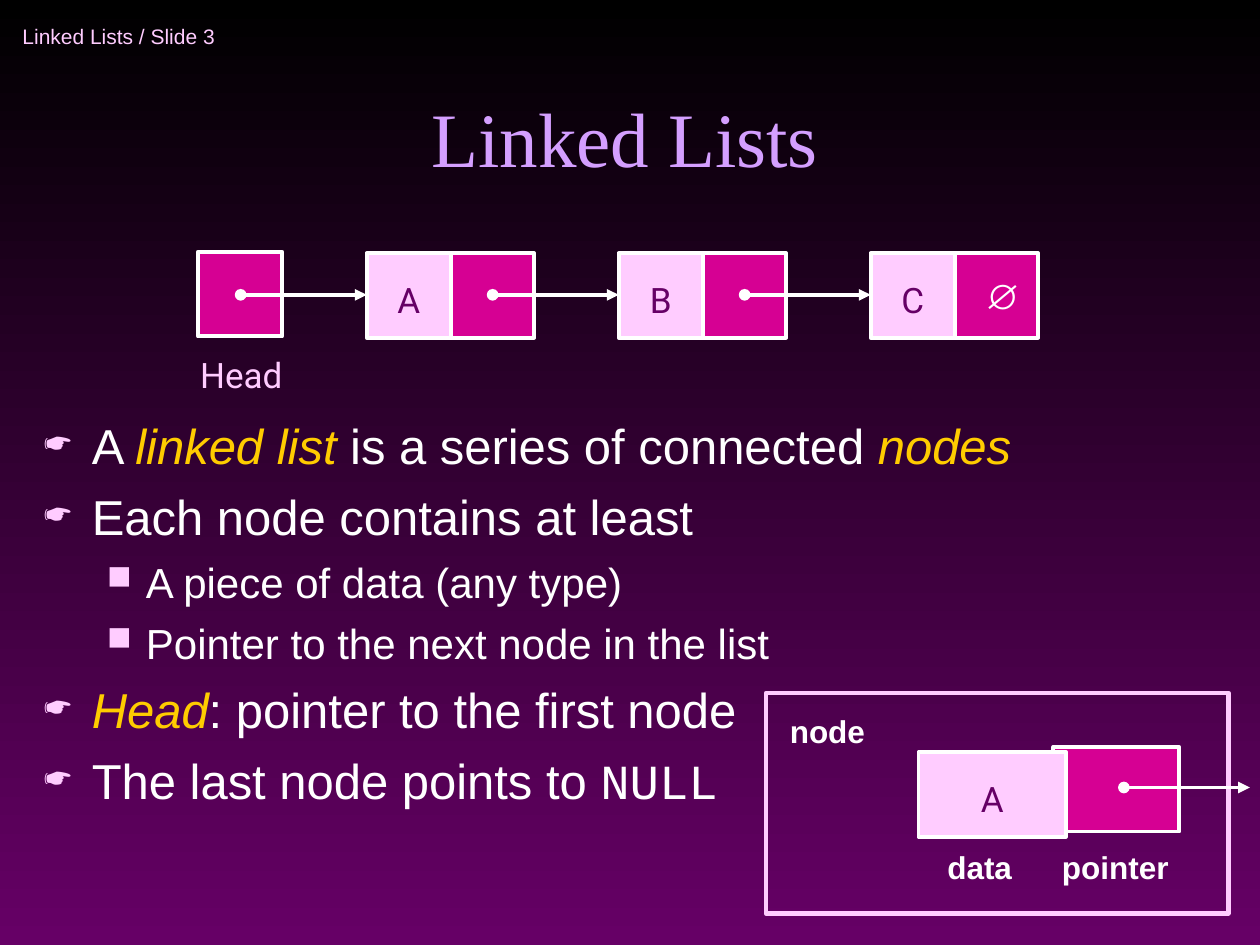
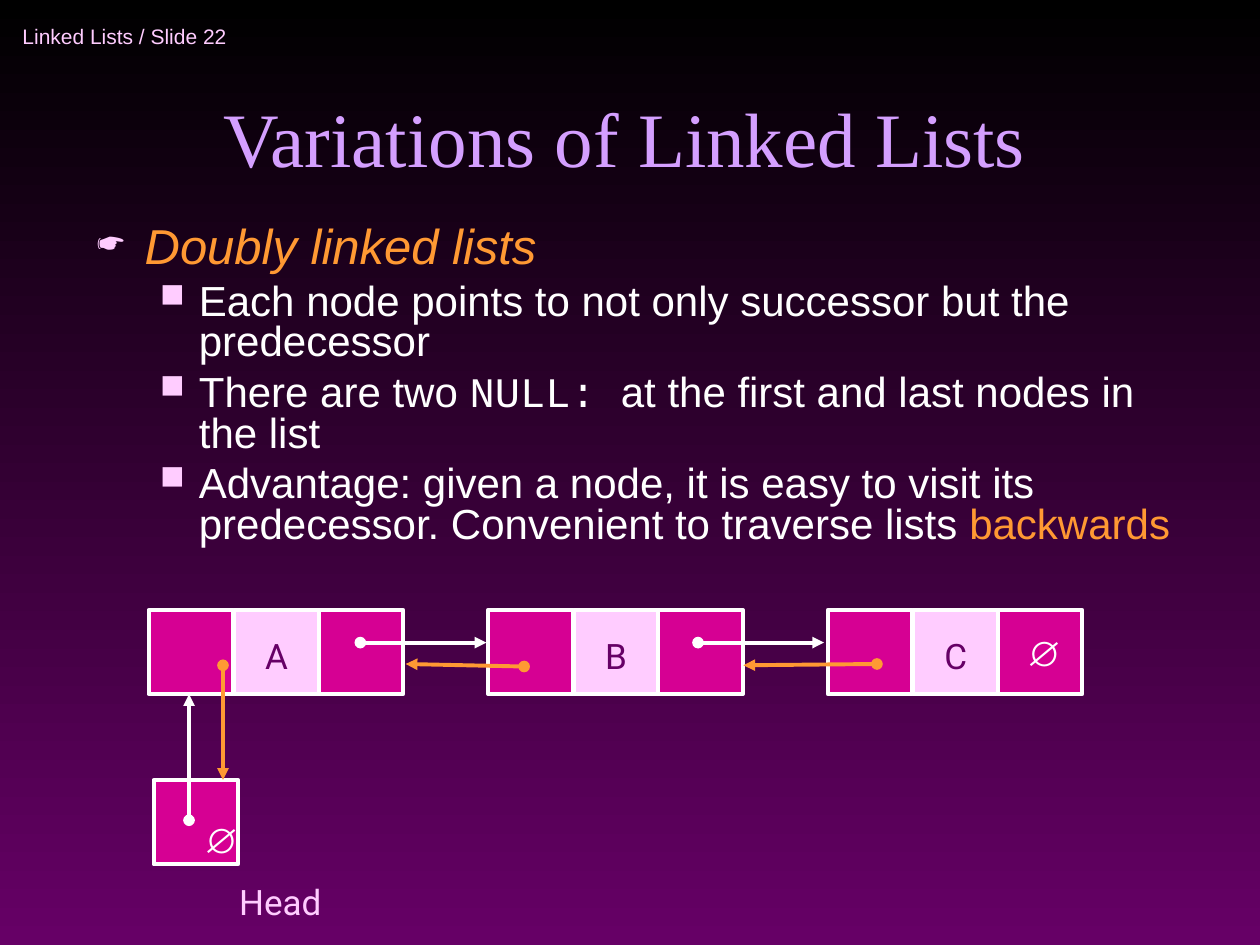
from lxml import etree
from pptx import Presentation
from pptx.dml.color import RGBColor
from pptx.enum.shapes import MSO_CONNECTOR, MSO_SHAPE
from pptx.enum.text import MSO_ANCHOR, PP_ALIGN
from pptx.oxml.ns import qn
from pptx.util import Inches, Pt

BLACK = RGBColor(0x00, 0x00, 0x00)
WHITE = RGBColor(0xFF, 0xFF, 0xFF)
PLUM = RGBColor(0x66, 0x00, 0x66)
PINK = RGBColor(0xFF, 0xCC, 0xFF)
ROSE = RGBColor(0xD6, 0x00, 0x93)
LILAC = RGBColor(0xD4, 0x9F, 0xFF)
GOLD = RGBColor(0xFF, 0xCC, 0x00)
AMBER = RGBColor(0xFF, 0x99, 0x33)

RECT = MSO_SHAPE.RECTANGLE
LINE = MSO_CONNECTOR.STRAIGHT
TOP, MIDDLE, BOTTOM = MSO_ANCHOR.TOP, MSO_ANCHOR.MIDDLE, MSO_ANCHOR.BOTTOM
LEFT, CENTER = PP_ALIGN.LEFT, PP_ALIGN.CENTER

HEADER = {"name": "Arial", "size": Pt(12), "color": PINK}
TITLE = {"name": "Times New Roman", "size": Pt(44), "color": LILAC}
LETTER = {"name": "Roboto", "size": Pt(20), "color": PLUM}
HEAD = {**LETTER, "color": PINK}
NULL = {"name": "Arial", "size": Pt(20), "bold": True, "color": WHITE}
LABEL = {**NULL, "size": Pt(18)}
TERM = {"italic": True, "color": GOLD}
TOPIC = {"italic": True, "color": AMBER}
CODE = {"name": "Courier New"}
LEVELS = (
    {"size": 28, "mark": "☛", "scale": 75, "left": 0.38, "hang": 0.38, "gap": 7},
    {"size": 24, "mark": "■", "scale": 80, "left": 0.81, "hang": 0.31, "gap": 6},
)
CELL = 0.67


class Deck:
    """Hold the shared style and the slide being built."""

    def __init__(self):
        self.file = Presentation()
        self.file.slide_width, self.file.slide_height = Inches(10), Inches(7.5)

    def page(self, number, title):
        self.slide = self.file.slides.add_slide(self.file.slide_layouts[6])
        fill = self.slide.background.fill
        fill.gradient()
        fill.gradient_angle = 270
        for stop, color in zip(fill.gradient_stops, (BLACK, PLUM)):
            stop.color.rgb = color
        self.text(f"Linked Lists / Slide {number}", (0.08, 0.08, 2.75, 0.42),
                  HEADER, anchor=MIDDLE)
        self.text(title, (0.67, 0.25, 8.58, 1.25), TITLE, CENTER, BOTTOM)

    def frame(self, box, anchor=TOP, wrap=True):
        frame = self.slide.shapes.add_textbox(*map(Inches, box)).text_frame
        frame.word_wrap, frame.vertical_anchor = wrap, anchor
        return frame

    def run(self, para, words, style):
        run = para.add_run()
        run.text = words
        for key, value in style.items():
            if key == "color":
                run.font.color.rgb = value
            else:
                setattr(run.font, key, value)

    def text(self, words, box, style, align=LEFT, anchor=TOP, wrap=True, gap=0):
        para = self.frame(box, anchor, wrap).paragraphs[0]
        para.alignment, para.space_before = align, Pt(gap)
        self.run(para, words, style)

    def body(self, box, items, spacing=1.0):
        frame = self.frame(box)
        for index, (level, runs) in enumerate(items):
            para = frame.add_paragraph() if index else frame.paragraphs[0]
            look = LEVELS[level]
            para.level, para.line_spacing = level, spacing
            para.space_before = Pt(look["gap"])
            self.bullet(para, look)
            base = {"name": "Arial", "size": Pt(look["size"]), "color": WHITE}
            for words, style in runs:
                self.run(para, words, {**base, **style})

    def bullet(self, para, look):
        props = para._p.get_or_add_pPr()
        props.set("marL", str(Inches(look["left"])))
        props.set("indent", str(-Inches(look["hang"])))
        color = etree.SubElement(props, qn("a:buClr"))
        etree.SubElement(color, qn("a:srgbClr"), val=str(PINK))
        etree.SubElement(props, qn("a:buSzPct"), val=str(look["scale"] * 1000))
        etree.SubElement(props, qn("a:buChar"), char=look["mark"])

    def rect(self, box, fill=None, line=WHITE, width=2.25):
        shape = self.slide.shapes.add_shape(RECT, *map(Inches, box))
        shape.shadow.inherit = False
        if fill is None:
            shape.fill.background()
        else:
            shape.fill.solid()
            shape.fill.fore_color.rgb = fill
        shape.line.color.rgb, shape.line.width = line, Pt(width)

    def link(self, x, y):
        self.rect((x, y, CELL, CELL), ROSE)

    def data(self, letter, x, y, width=CELL):
        self.rect((x, y, width, CELL), PINK)
        self.text(letter, (x + width / 2 - 0.19, y + 0.15, 0.38, 0.44),
                  LETTER, CENTER, wrap=False)

    def null(self, x, y):
        self.text("∅", (x, y, 0.42, 0.44), NULL, CENTER, wrap=False)

    def head(self, x, y):
        self.text("Head", (x, y, 0.89, 0.44), HEAD, CENTER, wrap=False)

    def label(self, words, x, y, width):
        self.text(words, (x, y, width, 0.4), LABEL, gap=11.2)

    def arrow(self, start, end, color=WHITE):
        line = self.slide.shapes.add_connector(LINE, *map(Inches, start + end))
        line.line.color.rgb, line.line.width = color, Pt(2.25)
        props = line._element.spPr
        stroke = props.find(qn("a:ln"))
        etree.SubElement(stroke, qn("a:headEnd"), type="oval")
        etree.SubElement(stroke, qn("a:tailEnd"), type="triangle")
        etree.SubElement(props, qn("a:effectLst"))


def single(deck):
    deck.page(3, "Linked Lists")
    deck.body((0.25, 3.25, 8.58, 3.33), (
        (0, (("A ", {}), ("linked list", TERM),
             (" is a series of connected ", {}), ("nodes", TERM))),
        (0, (("Each node contains at least", {}),)),
        (1, (("A piece of data (any type)", {}),)),
        (1, (("Pointer to the next node in the list", {}),)),
        (0, (("Head", TERM), (": pointer to the first node", {}))),
        (0, (("The last node points to ", {}), ("NULL", CODE))),
    ))
    deck.link(1.57, 2)
    for index in range(3):
        x = 1.57 + 2 * index
        deck.link(x + 2, 2.01)
        deck.arrow((x + 0.34, 2.34), (x + 1.34, 2.34))
    for index, letter in enumerate("ABC"):
        deck.data(letter, 2.91 + 2 * index, 2.01)
    deck.null(7.72, 2.13)
    deck.head(1.47, 2.76)

    deck.link_box = deck.rect((8.36, 5.93, 1, CELL), ROSE)
    deck.data("A", 7.29, 5.97, 1.17)
    deck.label("data", 7.42, 6.68, 0.75)
    deck.label("pointer", 8.33, 6.68, 1.08)
    deck.rect((6.08, 5.5, 3.67, 1.75), line=PINK, width=2.5)
    deck.label("node", 6.17, 5.6, 0.92)
    deck.arrow((8.92, 6.25), (9.92, 6.25))


def double(deck):
    deck.page(22, "Variations of Linked Lists")
    deck.body((0.67, 1.75, 8.92, 2.92), (
        (0, (("Doubly linked lists", TOPIC),)),
        (1, (("Each node points to not only successor but the predecessor", {}),)),
        (1, (("There are two ", {}), ("NULL: ", CODE),
             ("at the first and last nodes in the list", {}))),
        (1, (("Advantage: given a node, it is easy to visit its predecessor. "
              "Convenient to traverse lists ", {}),
             ("backwards", {"color": AMBER}))),
    ), 0.8)
    for index, letter in enumerate("ABC"):
        x = 1.18 + 2.695 * index
        deck.link(x, 4.84)
        deck.link(x + 1.35, 4.84)
        deck.data(letter, x + 0.68, 4.84)
    deck.link(1.22, 6.19)
    deck.null(1.52, 6.45)
    deck.null(8.05, 4.96)
    deck.head(1.78, 6.94)
    for start, end, color in (
        ((2.86, 5.1), (3.86, 5.1), WHITE),
        ((5.54, 5.1), (6.54, 5.1), WHITE),
        ((1.5, 6.51), (1.5, 5.51), WHITE),
        ((1.77, 5.28), (1.77, 6.19), AMBER),
        ((4.16, 5.29), (3.22, 5.27), AMBER),
        ((6.96, 5.27), (5.9, 5.28), AMBER),
    ):
        deck.arrow(start, end, color)


def main():
    deck = Deck()
    single(deck)
    double(deck)
    deck.file.save("out.pptx")


if __name__ == "__main__":
    main()
